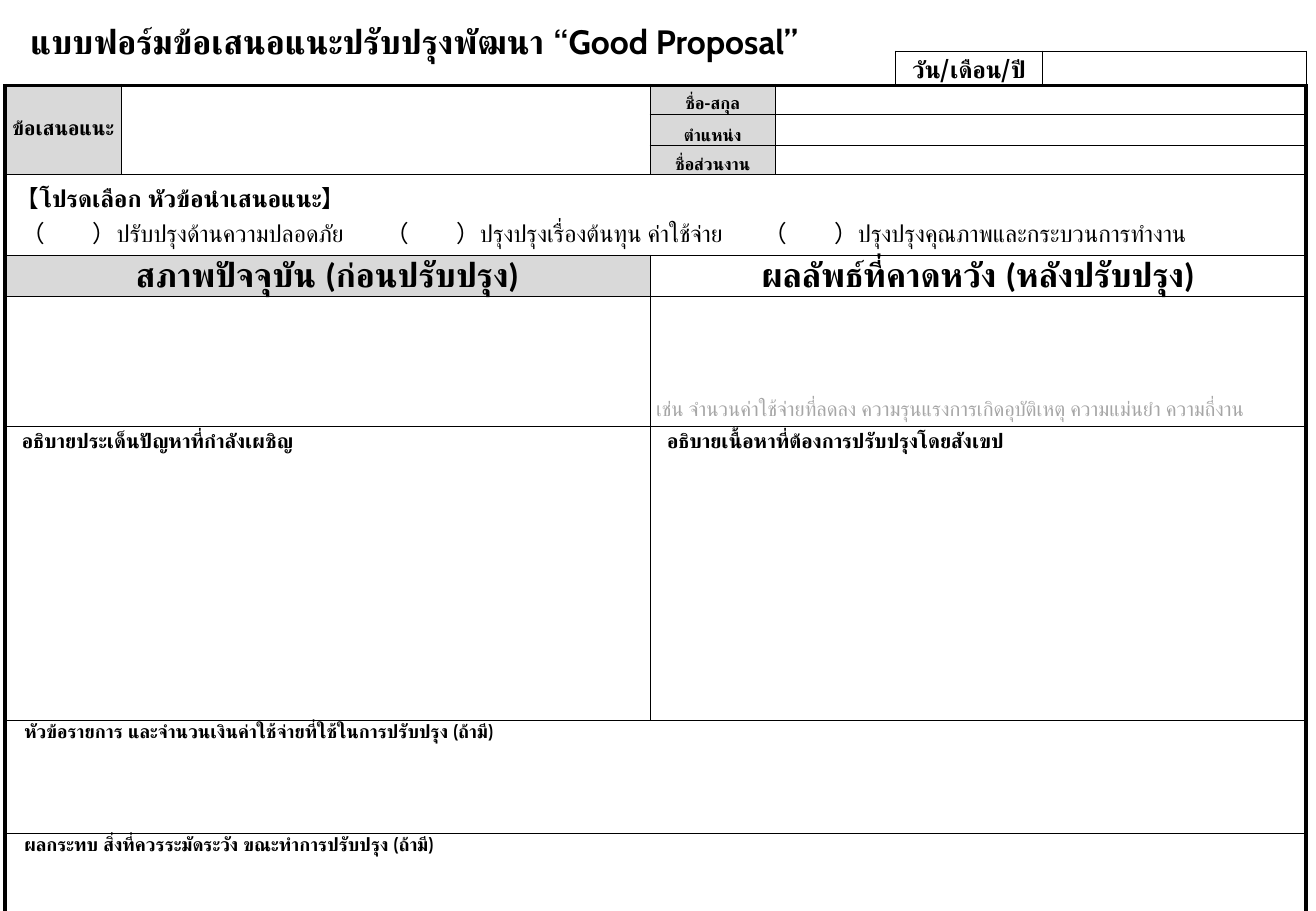
from dataclasses import dataclass
from itertools import product

from lxml.etree import SubElement
from pptx import Presentation
from pptx.dml.color import RGBColor
from pptx.enum.text import MSO_ANCHOR, MSO_AUTO_SIZE, PP_ALIGN
from pptx.oxml.ns import qn
from pptx.util import Inches, Pt


@dataclass(frozen=True)
class Theme:
    ink: str = "000000"
    shade: str = "D9D9D9"
    hint: str = "A6A6A6"
    form: str = "Noto Sans CJK JP"
    head: str = "Calibri"
    note: str = "Cabin"
    big: float = 20
    mid: float = 14
    body: float = 12
    foot: float = 11
    small: float = 10
    tiny: float = 6
    thin: float = 0.5
    thick: float = 2.25


THEME = Theme()
PLAIN = "{2D5ABB26-0587-4C30-8999-92F81FD0307C}"
COLS = (0.96, 4.35, 1.03, 0.99, 1.21, 2.17)
ROWS = (0.28, 0.24, 0.25, 0.24, 0.66, 0.34, 1.07, 2.42, 0.93, 0.65)
LAST = len(ROWS) - 1
STOPS = (0.09, 3.08, 6.19)
CHOICES = (
    "ปรับปรุงด้านความปลอดภัย",
    "ปรุงปรุงเรื่องต้นทุน ค่าใช้จ่าย",
    "ปรุงปรุงคุณภาพและกระบวนการทำงาน",
)


@dataclass(frozen=True)
class Box:
    row: int
    col: int
    wide: int = 1
    high: int = 1
    text: str = ""
    size: float = THEME.body
    font: str = THEME.form
    color: str = THEME.ink
    bold: bool = True
    mid: bool = False
    anchor: MSO_ANCHOR = MSO_ANCHOR.TOP
    shade: bool = False
    inset: float = 0
    indent: float = 0


def label(row: int, text: str) -> Box:
    return Box(row, 2, text=text, size=THEME.small, mid=True,
               anchor=MSO_ANCHOR.BOTTOM, shade=True)


def heading(col: int, wide: int, text: str, shade: bool) -> Box:
    return Box(5, col, wide, text=text, size=THEME.big, font=THEME.head,
               mid=True, anchor=MSO_ANCHOR.MIDDLE, shade=shade)


def detail(col: int, wide: int, text: str) -> Box:
    return Box(7, col, wide, text=text, inset=0.05, indent=0.09)


def footer(row: int, text: str) -> Box:
    return Box(row, 0, 6, text=text, size=THEME.foot, font=THEME.note, indent=0.16)


TOPIC = Box(4, 0, 6, inset=0.05, anchor=MSO_ANCHOR.BOTTOM)
BOXES = (
    Box(0, 0, 4),
    Box(0, 4, text="วัน/เดือน/ปี", size=THEME.mid, mid=True, anchor=MSO_ANCHOR.MIDDLE),
    Box(0, 5),
    Box(1, 0, high=3, text="ข้อเสนอแนะ", mid=True, anchor=MSO_ANCHOR.MIDDLE,
        shade=True, inset=0.05),
    Box(1, 1, high=3),
    label(1, "ชื่อ-สกุล"),
    label(2, "ตำแหน่ง"),
    label(3, "ชื่อส่วนงาน"),
    *(Box(row, 3, 3) for row in (1, 2, 3)),
    TOPIC,
    heading(0, 2, "สภาพปัจจุบัน (ก่อนปรับปรุง)", True),
    heading(2, 4, "ผลลัพธ์ที่คาดหวัง (หลังปรับปรุง)", False),
    Box(6, 0, 2),
    Box(6, 2, 4, text="เช่น จำนวนค่าใช้จ่ายที่ลดลง ความรุนแรงการเกิดอุบัติเหตุ ความแม่นยำ ความถี่งาน",
        color=THEME.hint, bold=False, anchor=MSO_ANCHOR.BOTTOM, inset=0.05),
    detail(0, 2, "อธิบายประเด็นปัญหาที่กำลังเผชิญ"),
    detail(2, 4, "อธิบายเนื้อหาที่ต้องการปรับปรุงโดยสังเขป"),
    footer(8, "หัวข้อรายการ และจำนวนเงินค่าใช้จ่ายที่ใช้ในการปรับปรุง (ถ้ามี)"),
    footer(9, "ผลกระทบ สิ่งที่ควรระมัดระวัง ขณะทำการปรับปรุง (ถ้ามี)"),
)


def write(para, text: str, *, size: float, font: str = THEME.form, color: str = THEME.ink,
          bold: bool = True, mid: bool = False, indent: float = 0) -> None:
    para.alignment = PP_ALIGN.CENTER if mid else PP_ALIGN.LEFT
    if indent:
        para._p.get_or_add_pPr().set("marL", str(Inches(indent)))
    run = para.add_run()
    run.text = text
    run.font.size = Pt(size)
    run.font.name = font
    run.font.bold = bold
    run.font.color.rgb = RGBColor.from_string(color)
    SubElement(run._r.get_or_add_rPr(), qn("a:ea"), typeface=font)


def edges(box: Box) -> dict[str, float]:
    if box.row == 0 and box.col == 0:
        return {"B": THEME.thick}
    top = box.row == 0
    sides = {
        "L": THEME.thick if box.col == 0 else THEME.thin,
        "R": THEME.thick if box.col + box.wide == len(COLS) and not top else THEME.thin,
        "T": THEME.thick if box.row == 1 else THEME.thin,
        "B": THEME.thick if top else THEME.thin,
    }
    if box.row == LAST:
        del sides["B"]
    if top and box.col == 4:
        sides["L"] = 1
    return sides


def rule(cell, sides: dict[str, float]) -> None:
    props = cell._tc.get_or_add_tcPr()
    for side, width in sides.items():
        line = SubElement(props, qn(f"a:ln{side}"), w=str(Pt(width)))
        fill = SubElement(line, qn("a:solidFill"))
        SubElement(fill, qn("a:srgbClr"), val=THEME.ink)


def topic(frame) -> None:
    para = frame.paragraphs[0]
    for text, bold in (("【", False), ("โปรดเลือก หัวข้อนำเสนอแนะ", True), ("】", False)):
        write(para, text, size=THEME.mid, bold=bold, indent=0.04)
    para = frame.add_paragraph()
    write(para, "".join(f"\t（　　）{text}" for text in CHOICES), size=THEME.mid, bold=False)
    tabs = SubElement(para._p.get_or_add_pPr(), qn("a:tabLst"))
    for stop in STOPS:
        SubElement(tabs, qn("a:tab"), pos=str(Inches(stop)), algn="l")


def draw(table, box: Box) -> None:
    cell = table.cell(box.row, box.col)
    for down, over in product(range(box.high), range(box.wide)):
        part = table.cell(box.row + down, box.col + over)
        rule(part, edges(box))
        if box.shade:
            part.fill.solid()
            part.fill.fore_color.rgb = RGBColor.from_string(THEME.shade)
        else:
            part.fill.background()
        if not box.text or down or over:
            end = part.text_frame.paragraphs[0]._p.get_or_add_endParaRPr()
            end.set("sz", str(int(THEME.tiny * 100)))
        part.margin_left = part.margin_right = Inches(box.inset)
        part.margin_top = part.margin_bottom = Inches(box.inset)
    if box.wide * box.high > 1:
        cell.merge(table.cell(box.row + box.high - 1, box.col + box.wide - 1))
    cell.vertical_anchor = box.anchor
    if box is TOPIC:
        topic(cell.text_frame)
    elif box.text:
        write(cell.text_frame.paragraphs[0], box.text, size=box.size, font=box.font,
              color=box.color, bold=box.bold, mid=box.mid, indent=box.indent)


def main() -> None:
    deck = Presentation()
    deck.slide_width, deck.slide_height = Inches(10.83), Inches(7.5)
    slide = deck.slides.add_slide(deck.slide_layouts[5])

    title = slide.shapes.title
    title.left, title.top = Inches(0.25), Inches(0.17)
    title.width, title.height = Inches(8.08), Inches(0.34)
    frame = title.text_frame
    frame.auto_size = MSO_AUTO_SIZE.NONE
    frame.vertical_anchor = MSO_ANCHOR.TOP
    frame.margin_left = frame.margin_right = frame.margin_top = frame.margin_bottom = 0
    write(frame.paragraphs[0], "แบบฟอร์มข้อเสนอแนะปรับปรุงพัฒนา “Good Proposal”",
          size=THEME.big, font=THEME.note)

    table = slide.shapes.add_table(len(ROWS), len(COLS), Inches(0.04), Inches(0.42),
                                   Inches(sum(COLS)), Inches(sum(ROWS))).table
    table.first_row = table.horz_banding = False
    table._tbl.tblPr.find(qn("a:tableStyleId")).text = PLAIN
    for col, width in zip(table.columns, COLS):
        col.width = Inches(width)
    for row, height in zip(table.rows, ROWS):
        row.height = Inches(height)
    for box in BOXES:
        draw(table, box)
    deck.save("out.pptx")


if __name__ == "__main__":
    main()
